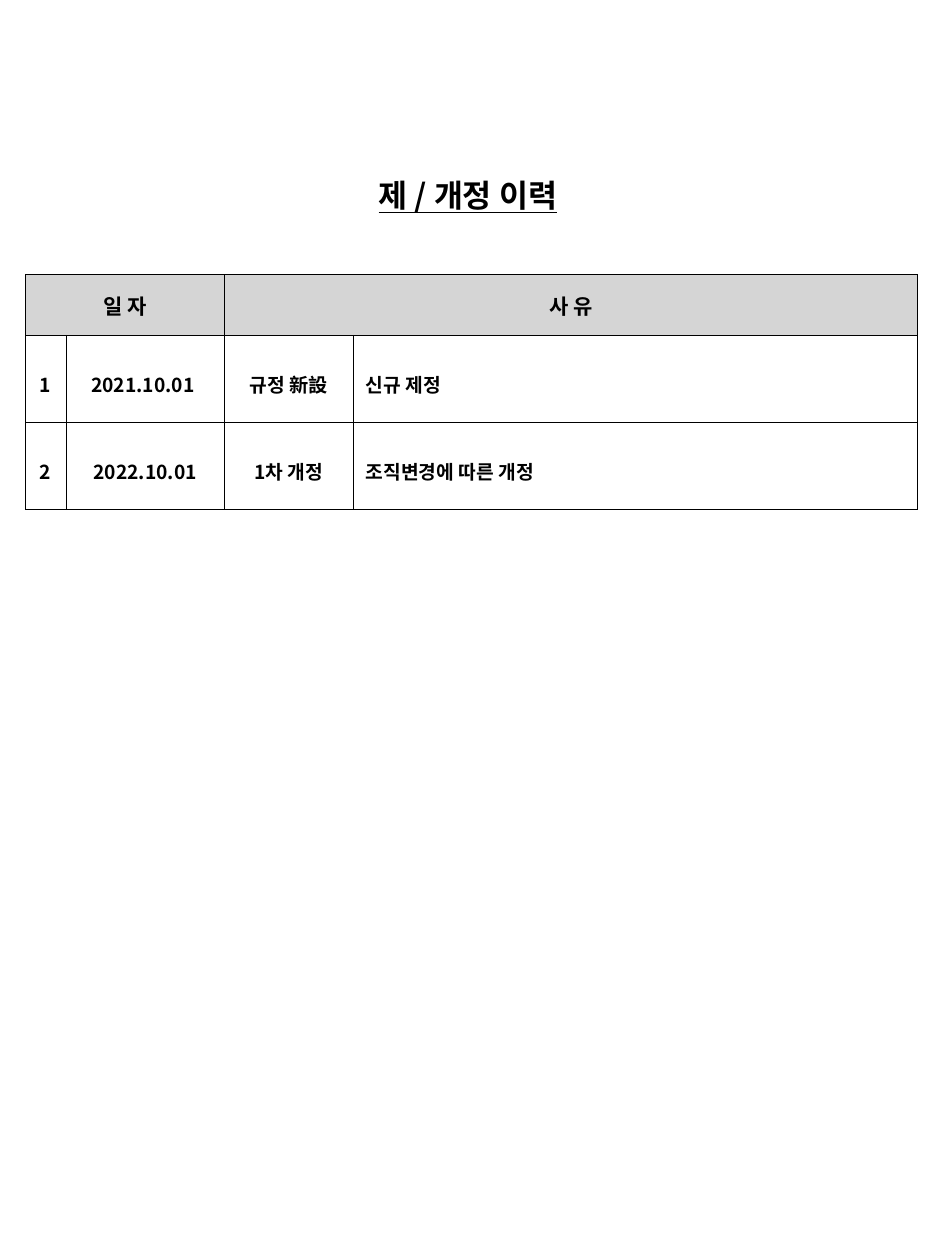
import dataclasses

import lxml.etree
import pptx
import pptx.dml.color
import pptx.enum.text
import pptx.oxml.ns
import pptx.util


@dataclasses.dataclass(frozen=True)
class Theme:
    """Colours, font and type sizes of the slide."""
    font: str = "Noto Sans CJK KR"
    ink: str = "000000"
    header_fill: str = "D5D5D5"
    title_size: int = 18
    header_size: int = 12
    body_size: int = 11
    rule: float = 0.25
    bottom_rule: float = 0.5


THEME = Theme()
COLUMNS = (0.32, 1.26, 1.02, 4.48)
ROWS = (0.48, 0.69, 0.69)
HEADERS = ("일 자", "사 유")
REVISIONS = (
    ("1", "2021.10.01 ", "규정 新設", "신규 제정"),
    ("2", "2022.10.01", "1차 개정", "조직변경에 따른 개정"),
)
CENTER = pptx.enum.text.PP_ALIGN.CENTER
LEFT = pptx.enum.text.PP_ALIGN.LEFT
MIDDLE = pptx.enum.text.MSO_ANCHOR.MIDDLE


def write(frame, wording, size, align=CENTER, line_spacing=1.0):
    """Fill a text frame with one bold paragraph in the theme font."""
    frame.text = wording
    paragraph = frame.paragraphs[0]
    paragraph.alignment = align
    paragraph.line_spacing = line_spacing
    paragraph.space_before = pptx.util.Pt(0)
    font = paragraph.font
    font.name, font.size, font.bold = THEME.font, pptx.util.Pt(size), True
    font.color.rgb = pptx.dml.color.RGBColor.from_string(THEME.ink)
    for run in paragraph.runs:
        run.font.name = THEME.font
        properties = run.font._element
        east_asian = lxml.etree.SubElement(properties, pptx.oxml.ns.qn("a:ea"))
        east_asian.set("typeface", THEME.font)
    return font


def rule_cell(cell, bottom):
    """Draw the four borders of a cell."""
    properties = cell._tc.get_or_add_tcPr()
    widths = {"lnL": THEME.rule, "lnR": THEME.rule, "lnT": THEME.rule, "lnB": bottom}
    for side, width in widths.items():
        line = lxml.etree.SubElement(properties, pptx.oxml.ns.qn(f"a:{side}"))
        line.set("w", str(pptx.util.Pt(width)))
        fill = lxml.etree.SubElement(line, pptx.oxml.ns.qn("a:solidFill"))
        lxml.etree.SubElement(fill, pptx.oxml.ns.qn("a:srgbClr")).set("val", THEME.ink)


def place_title(slide, box):
    """Put the underlined heading in the title placeholder."""
    heading = slide.shapes.title
    heading.left, heading.top, heading.width, heading.height = box
    frame = heading.text_frame
    frame.auto_size = pptx.enum.text.MSO_AUTO_SIZE.NONE
    frame.word_wrap = False
    frame.vertical_anchor = MIDDLE
    write(frame, "제 / 개정 이력", THEME.title_size).underline = True


def place_history(slide, box):
    """Build the revision table, its grid scaled to the box."""
    left, top, width, height = box
    history = slide.shapes.add_table(len(ROWS), len(COLUMNS), *box).table
    history.first_row = history.horz_banding = False
    for column, share in zip(history.columns, COLUMNS):
        column.width = int(width * share / sum(COLUMNS))
    for row, share in zip(history.rows, ROWS):
        row.height = int(height * share / sum(ROWS))

    for index, row in enumerate(history.rows):
        bottom = THEME.bottom_rule if index == len(ROWS) - 1 else THEME.rule
        for cell in row.cells:
            rule_cell(cell, bottom)
            cell.vertical_anchor = MIDDLE
            if index == 0:
                cell.fill.solid()
                cell.fill.fore_color.rgb = pptx.dml.color.RGBColor.from_string(THEME.header_fill)
            else:
                cell.fill.background()

    for index, header in enumerate(HEADERS):
        first = history.cell(0, 2 * index)
        first.merge(history.cell(0, 2 * index + 1))
        write(first.text_frame, header, THEME.header_size)

    for row, revision in enumerate(REVISIONS, start=1):
        for column, wording in enumerate(revision):
            cell = history.cell(row, column)
            is_reason = column == len(COLUMNS) - 1
            margin = pptx.util.Inches(0.1 if is_reason else 0.06)
            cell.margin_left = cell.margin_right = margin
            write(cell.text_frame, wording, THEME.body_size, LEFT if is_reason else CENTER, 1.4)


def main():
    """Build and save the revision history slide."""
    deck = pptx.Presentation()
    deck.slide_width, deck.slide_height = pptx.util.Inches(7.5), pptx.util.Inches(10)
    slide = deck.slides.add_slide(deck.slide_layouts.get_by_name("Title Only"))

    def box(left, top, width, height):
        """Turn shares of the slide into lengths."""
        return (int(deck.slide_width * left), int(deck.slide_height * top),
                int(deck.slide_width * width), int(deck.slide_height * height))

    place_title(slide, box(0.23, 0.13, 0.53, 0.05))
    place_history(slide, box(0.027, 0.218, 0.944, 0.186))
    deck.save("out.pptx")


if __name__ == "__main__":
    main()
